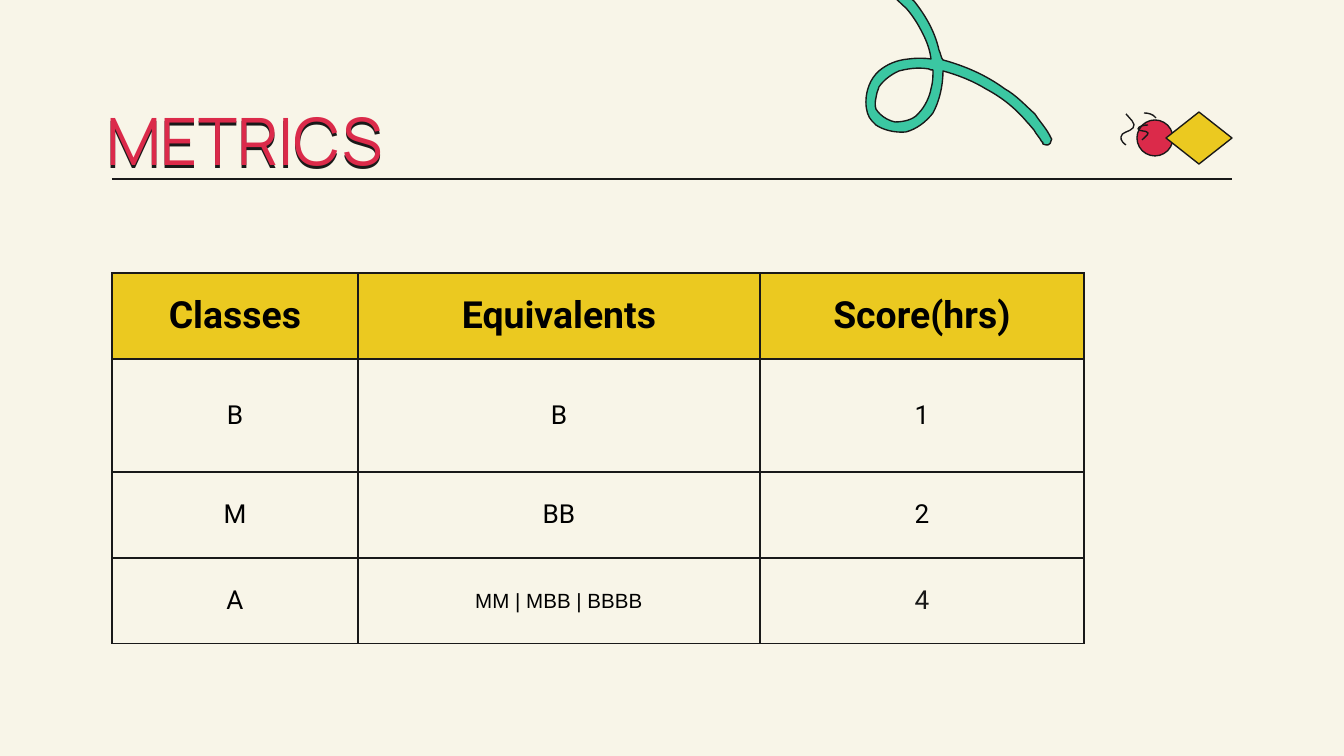
"""Build the METRICS slide: a title, decorations and a table of class scores."""
from dataclasses import dataclass
from typing import NamedTuple

from lxml import etree
from pptx import Presentation
from pptx.dml.color import RGBColor
from pptx.enum.shapes import MSO_CONNECTOR, MSO_SHAPE
from pptx.enum.text import MSO_ANCHOR, MSO_AUTO_SIZE, PP_ALIGN
from pptx.oxml.ns import qn
from pptx.util import Emu, Pt

PX = 914400 / 134.4
TITLE_ONLY = 5
CENTER, LEFT = PP_ALIGN.CENTER, PP_ALIGN.LEFT
MIDDLE = MSO_ANCHOR.MIDDLE
OVAL, DIAMOND = MSO_SHAPE.OVAL, MSO_SHAPE.FLOWCHART_DECISION
STRAIGHT = MSO_CONNECTOR.STRAIGHT
BORDER_TAGS = ("a:lnL", "a:lnR", "a:lnT", "a:lnB")


@dataclass(frozen=True)
class Theme:
    """Colours, fonts and type sizes of the slide."""
    paper: str = "F8F5E8"
    ink: str = "191919"
    black: str = "000000"
    red: str = "DB2A4A"
    yellow: str = "EBC920"
    green: str = "3BC7A2"
    title_font: str = "Manrope"
    table_font: str = "Roboto"
    plain_font: str = "Arial"
    title_size: int = 35
    header_size: int = 20
    body_size: int = 14
    small_size: int = 11
    line_width: float = 0.75


THEME = Theme()


class Box(NamedTuple):
    """Left, top, width and height in px."""
    left: int
    top: int
    width: int
    height: int


class TextStyle(NamedTuple):
    """Look of one run."""
    font: str
    size: int
    color: str
    bold: bool = False


class Contour(NamedTuple):
    """A start point and cubic curves, each two controls and an end, in px."""
    start: tuple
    curves: tuple
    closed: bool = False


HEADER = TextStyle(THEME.table_font, THEME.header_size, THEME.black, True)
BODY = TextStyle(THEME.table_font, THEME.body_size, THEME.black)
SMALL = TextStyle(THEME.plain_font, THEME.small_size, THEME.black)
INK_BODY = TextStyle(THEME.table_font, THEME.body_size, THEME.ink)
TITLE = TextStyle(THEME.title_font, THEME.title_size, THEME.red)

TITLE_BOX = Box(93, 99, 707, 81)
TABLE_ORIGIN = (112, 273)
COLUMN_WIDTHS = (246, 402, 324)
ROW_HEIGHTS = (86, 113, 86, 86)
ROWS = (
    (("Classes", HEADER), ("Equivalents", HEADER), ("Score(hrs)", HEADER)),
    (("B", BODY), ("B", BODY), ("1", BODY)),
    (("M", BODY), ("BB", BODY), ("2", BODY)),
    (("A", BODY), ("MM | MBB | BBBB", SMALL), ("4", INK_BODY)),
)
SQUIGGLES = (
    Contour((1156, 118), ((1153, 114, 1148, 113, 1144, 113),)),
    Contour((1148, 125), ((1145, 125, 1138, 126, 1138, 129), (1140, 132, 1146, 130, 1148, 133),
                          (1148, 136, 1144, 137, 1142, 140))),
    Contour((1126, 145), ((1124, 144, 1120, 140, 1121, 137), (1121, 132, 1130, 132, 1133, 128),
                          (1137, 124, 1129, 118, 1126, 114))),
)
RIBBON_HOLE = Contour((880, 114), (
    (879, 113, 878, 112, 876, 109), (875, 106, 875, 102, 876, 98),
    (876, 94, 878, 91, 879, 87), (883, 81, 890, 75, 899, 71),
    (907, 69, 917, 67, 929, 69), (930, 70, 931, 70, 933, 70),
    (933, 77, 933, 82, 931, 89), (930, 95, 926, 106, 918, 114),
    (913, 120, 903, 122, 895, 122), (890, 121, 884, 118, 880, 114)), True)
RIBBON_EDGE = Contour((702, -44), (
    (702, -43, 704, -42, 706, -43), (726, -44, 749, -46, 771, -44),
    (796, -44, 816, -40, 835, -35), (855, -30, 872, -20, 887, -9),
    (894, -4, 900, 3, 906, 8), (913, 16, 918, 24, 923, 34),
    (927, 42, 930, 50, 931, 59), (923, 58, 917, 58, 909, 59),
    (896, 60, 886, 65, 879, 71), (870, 79, 866, 91, 866, 102),
    (866, 110, 868, 117, 872, 121), (873, 122, 875, 124, 876, 125),
    (883, 130, 895, 133, 906, 132), (917, 129, 926, 122, 933, 113),
    (939, 102, 943, 87, 943, 71), (958, 75, 973, 81, 986, 89),
    (1003, 98, 1016, 109, 1027, 122), (1030, 125, 1032, 128, 1034, 130),
    (1036, 134, 1040, 138, 1042, 142), (1043, 142, 1043, 142, 1043, 144),
    (1044, 145, 1047, 145, 1048, 145), (1050, 144, 1051, 143, 1051, 141),
    (1052, 140, 1052, 138, 1051, 138), (1047, 129, 1040, 122, 1035, 114),
    (1025, 105, 1016, 95, 1005, 89), (986, 75, 965, 66, 943, 60),
    (941, 58, 941, 54, 939, 50), (935, 32, 926, 16, 914, 1),
    (913, 0, 911, -1, 909, -3), (895, -19, 876, -30, 857, -39),
    (839, -47, 816, -51, 790, -54), (766, -56, 741, -55, 720, -54),
    (716, -54, 711, -52, 704, -52), (703, -52, 702, -52, 702, -51),
    (700, -50, 700, -48, 700, -47), (700, -46, 700, -44, 702, -44)), True)


def px(length: int) -> Emu:
    """Turn px into EMU."""
    return Emu(round(length * PX))


def rgb(color: str) -> RGBColor:
    """Turn RRGGBB into a colour."""
    return RGBColor.from_string(color)


def add_run(paragraph, text: str, style: TextStyle, alignment) -> None:
    """Write one styled run and align its paragraph."""
    paragraph.alignment = alignment
    run = paragraph.add_run()
    run.text = text
    run.font.name, run.font.size, run.font.bold = style.font, Pt(style.size), style.bold
    run.font.color.rgb = rgb(style.color)


def paint(shape, fill: str | None) -> None:
    """Give a shape its fill, if any, and the ink outline without a shadow."""
    shape.shadow.inherit = False
    if fill:
        shape.fill.solid()
        shape.fill.fore_color.rgb = rgb(fill)
    else:
        shape.fill.background()
    shape.line.color.rgb = rgb(THEME.ink)
    shape.line.width = Pt(THEME.line_width)


def add_outline(slide, contours: tuple[Contour, ...], fill: str | None = None) -> None:
    """Draw contours as one freeform and bend its segments into cubic curves."""
    builder = slide.shapes.build_freeform(*contours[0].start, scale=PX)
    for index, contour in enumerate(contours):
        if index:
            builder.move_to(*contour.start)
        builder.add_line_segments([curve[4:] for curve in contour.curves], close=contour.closed)
    shape = builder.convert_to_shape()
    curves = [curve for contour in contours for curve in contour.curves]
    ends = [contour.start for contour in contours] + [curve[4:] for curve in curves]
    left, top = (min(values) for values in zip(*ends))
    segments = list(shape._element.iter(qn("a:lnTo")))
    for segment, (x1, y1, x2, y2, _, _) in zip(segments, curves):
        segment.tag = qn("a:cubicBezTo")
        for position, (x, y) in enumerate(((x1, y1), (x2, y2))):
            point = etree.Element(qn("a:pt"), x=str(x - left), y=str(y - top))
            segment.insert(position, point)
    paint(shape, fill)


def add_preset(slide, kind, box: Box, fill: str) -> None:
    """Draw a filled preset shape."""
    paint(slide.shapes.add_shape(kind, *map(px, box)), fill)


def add_rule(slide, left: int, right: int, top: int) -> None:
    """Draw the horizontal line under the title."""
    rule = slide.shapes.add_connector(STRAIGHT, px(left), px(top), px(right), px(top))
    rule.line.color.rgb = rgb(THEME.ink)
    rule.line.width = Pt(THEME.line_width)
    etree.SubElement(rule._element.spPr, qn("a:effectLst"))


def format_title(title) -> None:
    """Place the title and give it a hard shadow straight below."""
    title.left, title.top, title.width, title.height = map(px, TITLE_BOX)
    frame = title.text_frame
    frame.auto_size, frame.vertical_anchor = MSO_AUTO_SIZE.NONE, MIDDLE
    frame.margin_left = frame.margin_right = frame.margin_top = frame.margin_bottom = px(13)
    add_run(frame.paragraphs[0], "METRICS", TITLE, LEFT)
    effects = etree.SubElement(title._element.spPr, qn("a:effectLst"))
    shadow = etree.SubElement(effects, qn("a:outerShdw"), dist=str(px(3)), dir="5400000")
    etree.SubElement(shadow, qn("a:srgbClr"), val=THEME.ink)


def format_cell(cell, text: str, style: TextStyle) -> None:
    """Write a cell and set its borders, fill and margins."""
    properties = cell._tc.get_or_add_tcPr()
    for tag in BORDER_TAGS:
        border = etree.SubElement(properties, qn(tag), w=str(Pt(THEME.line_width)))
        solid = etree.SubElement(border, qn("a:solidFill"))
        etree.SubElement(solid, qn("a:srgbClr"), val=THEME.ink)
    if style is HEADER:
        cell.fill.solid()
        cell.fill.fore_color.rgb = rgb(THEME.yellow)
    else:
        cell.fill.background()
    cell.vertical_anchor = MIDDLE
    cell.margin_left = cell.margin_right = cell.margin_top = cell.margin_bottom = px(13)
    add_run(cell.text_frame.paragraphs[0], text, style, CENTER)


def add_score_table(slide) -> None:
    """Draw the table of classes."""
    box = Box(*TABLE_ORIGIN, sum(COLUMN_WIDTHS), sum(ROW_HEIGHTS))
    table = slide.shapes.add_table(len(ROWS), len(COLUMN_WIDTHS), *map(px, box)).table
    table.first_row = table.horz_banding = False
    for column, width in zip(table.columns, COLUMN_WIDTHS):
        column.width = px(width)
    for row, height, entries in zip(table.rows, ROW_HEIGHTS, ROWS):
        row.height = px(height)
        for cell, (text, style) in zip(row.cells, entries):
            format_cell(cell, text, style)


def main() -> None:
    """Build and save the presentation."""
    presentation = Presentation()
    presentation.slide_width, presentation.slide_height = px(1344), px(756)
    slide = presentation.slides.add_slide(presentation.slide_layouts[TITLE_ONLY])
    slide.background.fill.solid()
    slide.background.fill.fore_color.rgb = rgb(THEME.paper)
    add_rule(slide, 112, 1232, 179)
    add_preset(slide, OVAL, Box(1137, 120, 36, 36), THEME.red)
    add_preset(slide, DIAMOND, Box(1166, 112, 66, 52), THEME.yellow)
    for squiggle in SQUIGGLES:
        add_outline(slide, (squiggle,))
    add_outline(slide, (RIBBON_HOLE, RIBBON_EDGE), THEME.green)
    format_title(slide.shapes.title)
    add_score_table(slide)
    presentation.save("out.pptx")


if __name__ == "__main__":
    main()
